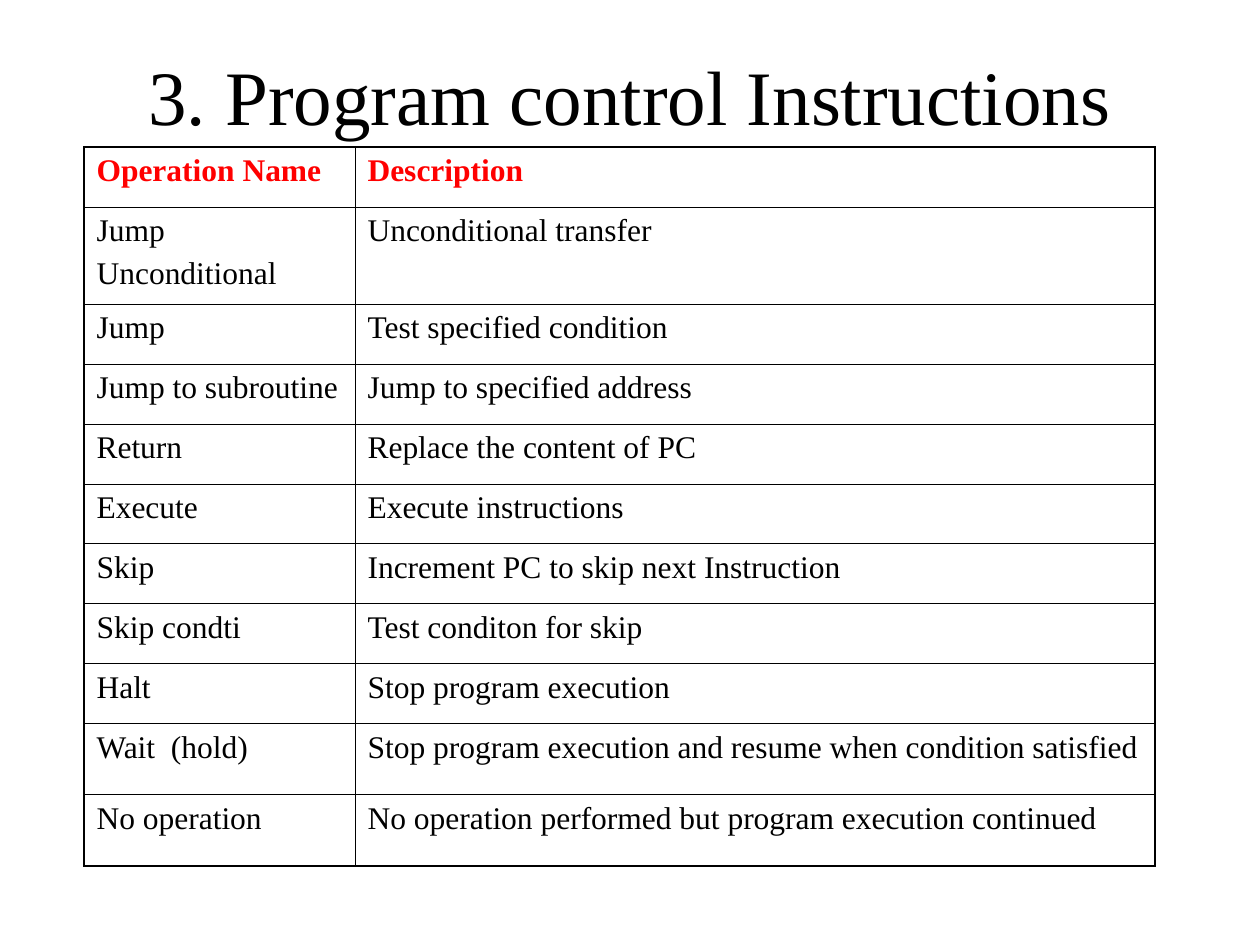
from lxml.etree import SubElement
from pptx import Presentation
from pptx.dml.color import RGBColor
from pptx.enum.text import MSO_ANCHOR, MSO_AUTO_SIZE, PP_ALIGN
from pptx.oxml.ns import qn
from pptx.util import Emu, Pt

TITLE = "3. Program control Instructions"
HEADER = ("Operation Name", "Description")
INSTRUCTIONS = [
    ("Jump\nUnconditional", "Unconditional transfer"),
    ("Jump", "Test specified condition"),
    ("Jump to subroutine", "Jump to specified address"),
    ("Return", "Replace the content of PC"),
    ("Execute", "Execute instructions"),
    ("Skip", "Increment PC to skip next Instruction"),
    ("Skip condti", "Test conditon for skip"),
    ("Halt", "Stop program execution"),
    ("Wait  (hold)", "Stop program execution and resume when condition satisfied"),
    ("No operation", "No operation performed but program execution continued"),
]
ROWS = [HEADER] + INSTRUCTIONS

# Layout in px, 126 to the inch
COLUMN_WIDTHS = [271, 800]
ROW_HEIGHTS = [60, 97] + [60] * 7 + [71, 71]
TABLE_LEFT, TABLE_TOP = 84, 147
TITLE_BOX = (63, 38, 1134, 109)
OUTER_LINE, INNER_LINE = 1.08, 0.45
BLACK, RED = "000000", "FF0000"
TITLE_FONT = {"name": "Times New Roman", "size": Pt(44), "bold": False}
HEADER_FONT = {"name": "Times New Roman", "size": Pt(18), "bold": True}
BODY_FONT = {**HEADER_FONT, "bold": False}


def px(length):
    return Emu(round(length * 914400 / 126))


def format_font(font, values, color):
    for name, value in values.items():
        setattr(font, name, value)
    font.color.rgb = RGBColor.from_string(color)


def add_borders(cell, widths):
    """Draw the cell's edges; they must come before its fill in the XML."""
    properties = cell._tc.get_or_add_tcPr()
    for position, (edge, width) in enumerate(widths.items()):
        line = SubElement(properties, qn(f"a:{edge}"), w=str(Pt(width)))
        fill = SubElement(line, qn("a:solidFill"))
        SubElement(fill, qn("a:srgbClr"), val=BLACK)
        properties.insert(position, line)


presentation = Presentation()
presentation.slide_width, presentation.slide_height = px(1260), px(945)
slide = presentation.slides.add_slide(presentation.slide_layouts[5])

# Title
title = slide.shapes.title
title.left, title.top, title.width, title.height = map(px, TITLE_BOX)
title.text_frame.text = TITLE
title.text_frame.auto_size = MSO_AUTO_SIZE.NONE
title.text_frame.vertical_anchor = MSO_ANCHOR.BOTTOM
title.text_frame.paragraphs[0].alignment = PP_ALIGN.CENTER
format_font(title.text_frame.paragraphs[0].runs[0].font, TITLE_FONT, BLACK)

# Instruction table
table = slide.shapes.add_table(
    len(ROWS), len(HEADER), px(TABLE_LEFT), px(TABLE_TOP),
    px(sum(COLUMN_WIDTHS)), px(sum(ROW_HEIGHTS))).table
table.first_row = table.horz_banding = False
for column, width in zip(table.columns, COLUMN_WIDTHS):
    column.width = px(width)
for row, height in zip(table.rows, ROW_HEIGHTS):
    row.height = px(height)

# Cells: a heavier line runs around the outside
last_row, last_column = len(ROWS) - 1, len(HEADER) - 1
for r, texts in enumerate(ROWS):
    for c, text in enumerate(texts):
        cell = table.cell(r, c)
        cell.text = text
        cell.fill.background()
        outer_edges = {"lnL": c == 0, "lnR": c == last_column,
                       "lnT": r == 0, "lnB": r == last_row}
        add_borders(cell, {edge: OUTER_LINE if outer else INNER_LINE
                           for edge, outer in outer_edges.items()})
        for i, paragraph in enumerate(cell.text_frame.paragraphs):
            if i:
                paragraph.space_before = Pt(4.5)
            format_font(paragraph.runs[0].font,
                        BODY_FONT if r else HEADER_FONT, BLACK if r else RED)

presentation.save("out.pptx")
